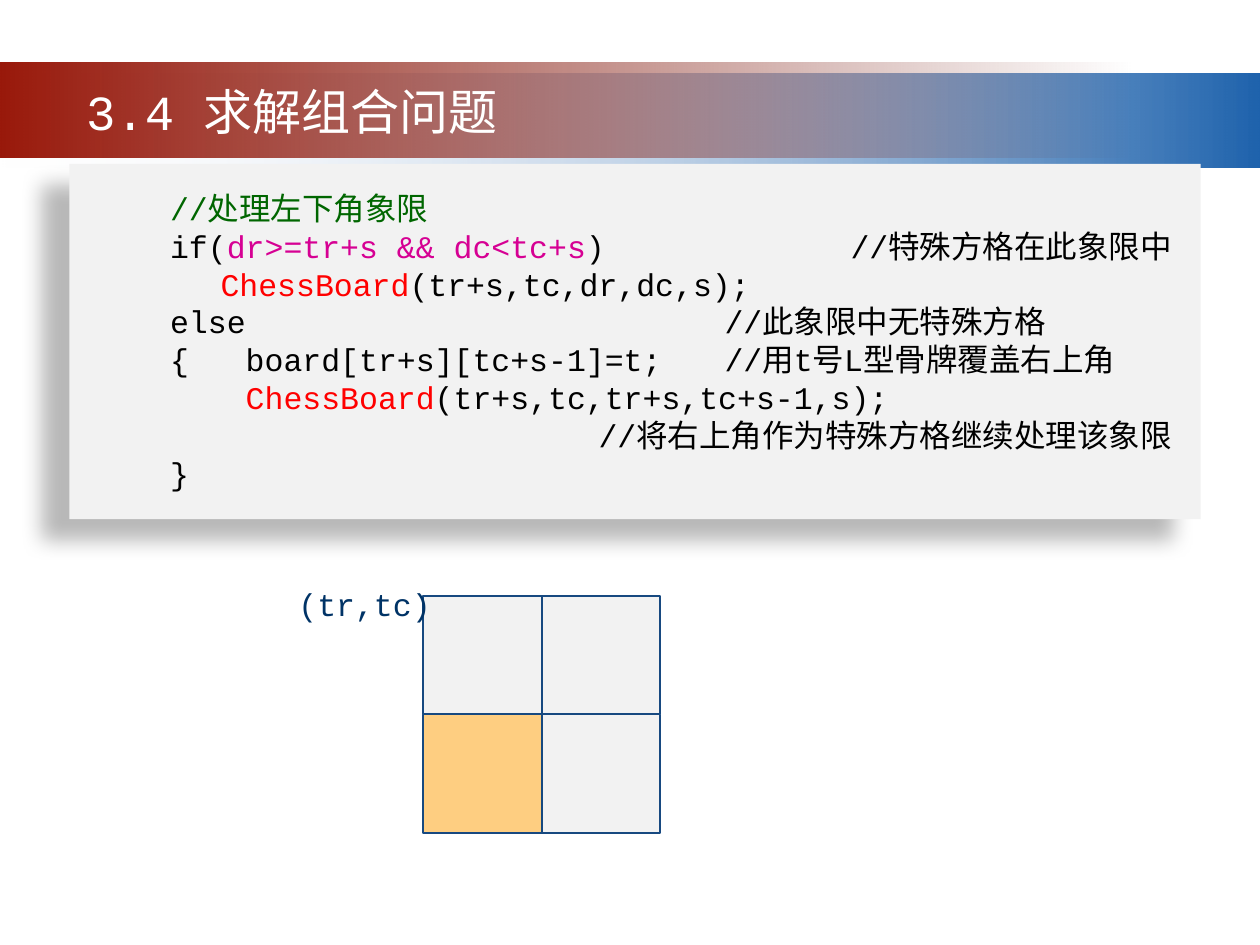
from dataclasses import dataclass
from itertools import product

from lxml.etree import SubElement
from pptx import Presentation
from pptx.dml.color import RGBColor
from pptx.enum.shapes import MSO_SHAPE
from pptx.enum.text import MSO_ANCHOR, PP_ALIGN
from pptx.oxml.ns import qn
from pptx.util import Inches, Pt


@dataclass(frozen=True)
class Theme:
    code_font: str = "Courier New"
    title_font: str = "Noto Sans CJK SC"
    title_size: int = 28
    code_size: int = 18
    white: str = "FFFFFF"
    black: str = "000000"
    comment: str = "006600"
    condition: str = "D60093"
    call: str = "FF0000"
    label: str = "003366"
    panel: str = "F2F2F2"
    active: str = "FECE81"
    border: str = "174980"
    blue_band: tuple = (("F1F2F7", 0), ("1F63AD", 100))
    red_band: tuple = (("99190B", 100), ("6D1208", 0))


class SlideBuilder:
    """Draws styled elements on one slide."""

    def __init__(self, slide, theme):
        self.slide = slide
        self.theme = theme

    def rect(self, x, y, w, h, fill=None, line=None):
        sp = self.slide.shapes.add_shape(
            MSO_SHAPE.RECTANGLE, Inches(x), Inches(y), Inches(w), Inches(h))
        sp.shadow.inherit = False
        if fill:
            sp.fill.solid()
            sp.fill.fore_color.rgb = RGBColor.from_string(fill)
        if line:
            sp.line.color.rgb = RGBColor.from_string(line)
            sp.line.width = Pt(1)
        else:
            sp.line.fill.background()
        return sp

    def band(self, x, y, w, h, colors):
        sp = self.rect(x, y, w, h)
        sp.fill.gradient()
        sp.fill.gradient_angle = 0
        for stop, (color, _) in zip(sp.fill.gradient_stops, colors):
            stop.color.rgb = RGBColor.from_string(color)
        clrs = sp._element.spPr.iter(qn("a:srgbClr"))
        for clr, (_, alpha) in zip(list(clrs), colors):
            SubElement(clr, qn("a:alpha"), val=str(alpha * 1000))

    def shadow(self, sp, color, alpha, blur, dist, angle):
        effects = sp._element.spPr.find(qn("a:effectLst"))
        outer = SubElement(effects, qn("a:outerShdw"), blurRad=str(Pt(blur)),
                           dist=str(Pt(dist)), dir=str(angle * 60000),
                           algn="tr", rotWithShape="0")
        clr = SubElement(outer, qn("a:srgbClr"), val=color)
        SubElement(clr, qn("a:alpha"), val=str(alpha * 1000))

    def tab_stops(self, p, count):
        tabs = SubElement(p._p.get_or_add_pPr(), qn("a:tabLst"))
        for inch in range(1, count + 1):
            SubElement(tabs, qn("a:tab"), pos=str(Inches(inch)), algn="l")

    def paragraph(self, p, runs, size, color=None, align=PP_ALIGN.LEFT):
        p.alignment = align
        p.font.size = Pt(size)
        p.font.name = self.theme.code_font
        if color:
            p.font.color.rgb = RGBColor.from_string(color)
        for text, run_color in runs:
            r = p.add_run()
            r.text = text
            if run_color:
                r.font.color.rgb = RGBColor.from_string(run_color)

    def text(self, x, y, w, h, runs, size, color, align=PP_ALIGN.LEFT):
        tf = self.slide.shapes.add_textbox(
            Inches(x), Inches(y), Inches(w), Inches(h)).text_frame
        tf.word_wrap = True
        p = tf.paragraphs[0]
        self.paragraph(p, runs, size, color, align)
        return p

    def code(self, x, y, w, h, lines):
        sp = self.rect(x, y, w, h, self.theme.panel)
        self.shadow(sp, self.theme.black, 28, 11.8, 19.7, 141)
        tf = sp.text_frame
        tf.word_wrap = True
        tf.vertical_anchor = MSO_ANCHOR.TOP
        tf.margin_left = tf.margin_top = tf.margin_bottom = Inches(0.2)
        tf.margin_right = Inches(0.1)
        for i, runs in enumerate(lines):
            p = tf.add_paragraph() if i else tf.paragraphs[0]
            self.tab_stops(p, 8)
            colors = {color for _, color in runs}
            if len(colors) == 1:
                plain = [(text, None) for text, _ in runs]
                self.paragraph(p, plain, self.theme.code_size, colors.pop())
            else:
                self.paragraph(p, runs, self.theme.code_size)

    def board(self, x, y, size, active):
        for col, row in product(range(2), repeat=2):
            fill = self.theme.active if (row, col) == active else self.theme.panel
            self.rect(x + col * size, y + row * size, size, size, fill, self.theme.border)


def main():
    t = Theme()
    prs = Presentation()
    prs.slide_width, prs.slide_height = Inches(10), Inches(7.5)
    s = SlideBuilder(prs.slides.add_slide(prs.slide_layouts[6]), t)

    s.band(0, 0.58, 10, 0.75, t.blue_band)
    s.band(0, 0.5, 9, 0.75, t.red_band)
    s.code(0.55, 1.3, 8.98, 2.82, [
        [("    //处理左下角象限", t.comment)],
        [("    if(", t.black), ("dr>=tr+s && dc<tc+s", t.condition),
         (")\t\t//特殊方格在此象限中", t.black)],
        [("\t", t.black), ("ChessBoard", t.call), ("(tr+s,tc,dr,dc,s);", t.black)],
        [("    else\t\t\t\t//此象限中无特殊方格", t.black)],
        [("    {   board[tr+s][tc+s-1]=t;  \t//用t号L型骨牌覆盖右上角", t.black)],
        [("        ", t.black), ("ChessBoard", t.call),
         ("(tr+s,tc,tr+s,tc+s-1,s);", t.black)],
        [("\t\t\t\t//将右上角作为特殊方格继续处理该象限", t.black)],
        [("    }", t.black)],
    ])
    s.board(3.36, 4.73, 0.94, active=(1, 0))
    s.text(2.27, 4.59, 1.33, 0.4, [("(tr,tc)", None)], t.code_size, t.label)
    title = s.text(0.44, 0.6, 3.75, 0.57, [("3.4 ", None), ("求解组合问题", None)],
                   t.title_size, t.white, PP_ALIGN.CENTER)
    title.runs[1].font.name = t.title_font

    prs.save("out.pptx")


if __name__ == "__main__":
    main()
